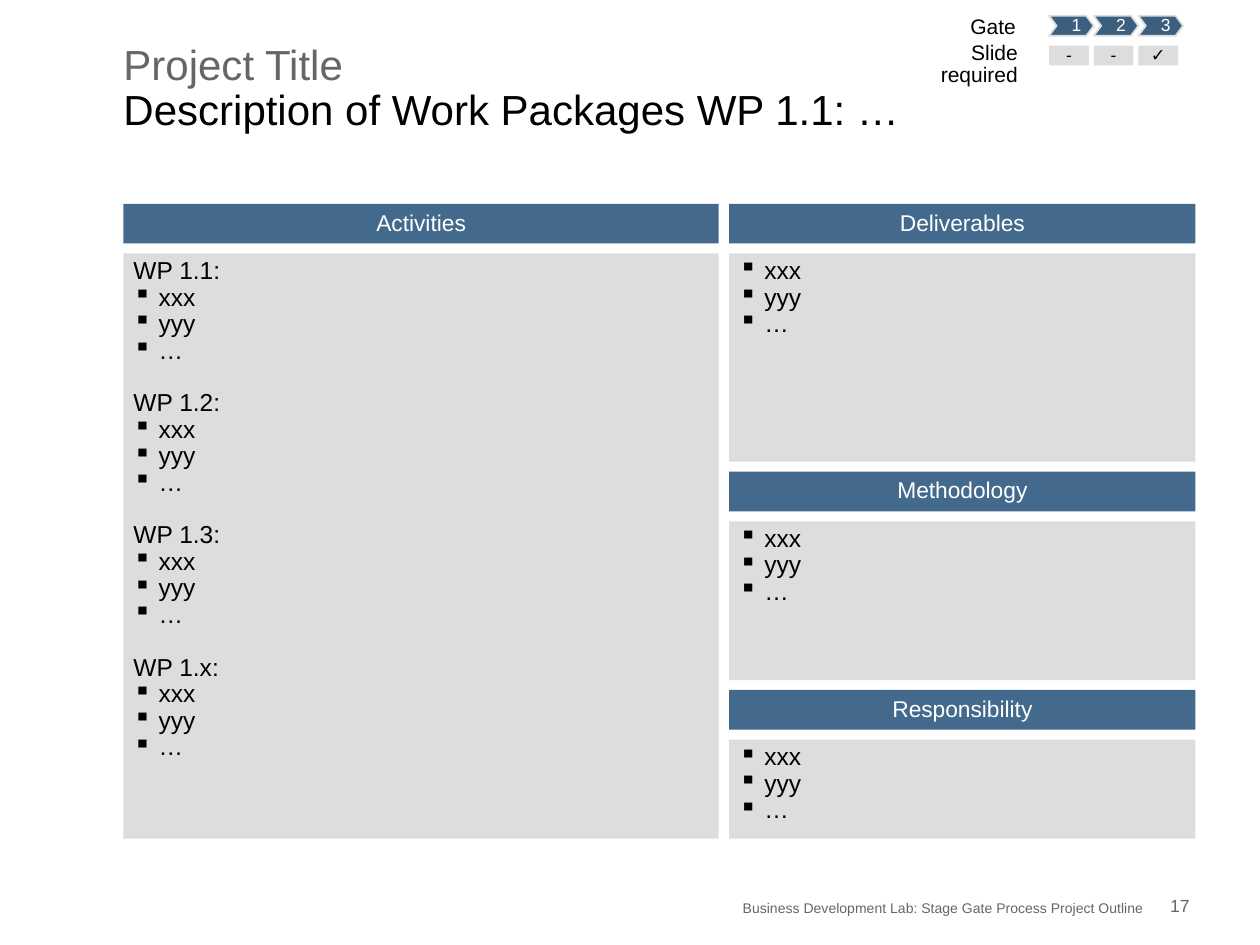
from dataclasses import dataclass

from lxml import etree
from pptx import Presentation
from pptx.dml.color import RGBColor
from pptx.enum.shapes import MSO_SHAPE
from pptx.enum.text import MSO_ANCHOR, PP_ALIGN
from pptx.oxml.ns import qn
from pptx.util import Cm, Pt

RECTANGLE = MSO_SHAPE.RECTANGLE
TOP, MIDDLE, BOTTOM = MSO_ANCHOR.TOP, MSO_ANCHOR.MIDDLE, MSO_ANCHOR.BOTTOM
LEFT, CENTER, RIGHT = PP_ALIGN.LEFT, PP_ALIGN.CENTER, PP_ALIGN.RIGHT


@dataclass(frozen=True)
class Theme:
    font: str = "Arial"
    header: str = "436A8D"
    gate: str = "3C5F7F"
    panel: str = "DDDDDD"
    ink: str = "000000"
    muted: str = "666666"
    light: str = "FFFFFF"
    title_size: int = 24
    body_size: int = 14
    header_size: int = 13
    label_size: int = 12
    small_size: int = 10
    footer_size: int = 8
    spacing: float = 0.9
    group_gap: int = 15
    indent: float = 0.51


THEME = Theme()


def add_text(para, text, *, size, color=THEME.ink, align=LEFT,
             spacing=THEME.spacing, before=0, bullet=False):
    if bullet:
        properties = para._p.get_or_add_pPr()
        properties.set("marL", str(Cm(THEME.indent)))
        properties.set("indent", str(-Cm(THEME.indent)))
        marker = etree.SubElement(properties, qn("a:buChar"))
        marker.set("char", "▪")
    para.alignment = align
    para.line_spacing = spacing
    para.space_before = Pt(before)
    span = para.add_run()
    span.text = text
    span.font.name = THEME.font
    span.font.size = Pt(size)
    span.font.color.rgb = RGBColor.from_string(color)


class PageBuilder:
    def __init__(self, page, theme):
        self.page = page
        self.theme = theme

    def frame(self, box, anchor=TOP, margins=(0, 0, 0, 0), wrap=True):
        frame = box.text_frame
        frame.word_wrap = wrap
        frame.vertical_anchor = anchor
        (frame.margin_left, frame.margin_top,
         frame.margin_right, frame.margin_bottom) = [Cm(m) for m in margins]
        return frame

    def paint(self, box, fill, line=None):
        box.shadow.inherit = False
        box.fill.solid()
        box.fill.fore_color.rgb = RGBColor.from_string(fill)
        if line:
            box.line.color.rgb = RGBColor.from_string(line)
            box.line.width = Pt(1)
        else:
            box.line.fill.background()

    def rectangle(self, left, top, width, height, fill):
        box = self.page.shapes.add_shape(
            RECTANGLE, Cm(left), Cm(top), Cm(width), Cm(height))
        self.paint(box, fill)
        return box

    def label(self, text, left, top, width, height, anchor=TOP, wrap=True, **style):
        box = self.page.shapes.add_textbox(Cm(left), Cm(top), Cm(width), Cm(height))
        frame = self.frame(box, anchor, wrap=wrap)
        add_text(frame.paragraphs[0], text, **style)
        return frame.paragraphs[0]

    def title(self, project, heading):
        size = self.theme.title_size
        para = self.label(project, 2.49, 0.89, 16.41, 2.69,
                          size=size, color=self.theme.muted)
        para.add_line_break()
        add_text(para, heading, size=size)

    def header(self, text, left, top, width, height):
        box = self.rectangle(left, top, width, height, self.theme.header)
        frame = self.frame(box, MIDDLE, (0.18,) * 4)
        add_text(frame.paragraphs[0], text, size=self.theme.header_size,
                 color=self.theme.light, align=CENTER)

    def panel(self, groups, left, top, width, height):
        box = self.rectangle(left, top, width, height, self.theme.panel)
        frame = self.frame(box, TOP, (0.2, 0.1, 0.1, 0.1))
        para = frame.paragraphs[0]
        size = self.theme.body_size
        for index, (heading, items) in enumerate(groups):
            if heading:
                if index:
                    para = frame.add_paragraph()
                add_text(para, heading, size=size,
                         before=self.theme.group_gap if index else 0)
            for item in items:
                if para.runs:
                    para = frame.add_paragraph()
                add_text(para, item, size=size, bullet=True)

    def gate(self, text, left, top, width, height, notch):
        right, middle, bottom = left + width, top + height / 2, top + height
        outline = [(right - notch, top), (right, middle), (right - notch, bottom),
                   (left, bottom), (left + notch, middle)]
        builder = self.page.shapes.build_freeform(Cm(left), Cm(top))
        builder.add_line_segments([(Cm(x), Cm(y)) for x, y in outline], close=True)
        box = builder.convert_to_shape()
        self.paint(box, self.theme.gate, self.theme.panel)
        frame = self.frame(box, MIDDLE, (0.2, 0, 0, 0))
        add_text(frame.paragraphs[0], text, size=self.theme.small_size,
                 color=self.theme.light, align=CENTER)

    def flag(self, text, left, top, width, height):
        box = self.rectangle(left, top, width, height, self.theme.panel)
        frame = self.frame(box, MIDDLE)
        add_text(frame.paragraphs[0], text, size=self.theme.small_size, align=CENTER)


def main():
    deck = Presentation()
    deck.slide_width, deck.slide_height = Cm(25.4), Cm(19.05)
    builder = PageBuilder(deck.slides.add_slide(deck.slide_layouts[6]), THEME)

    builder.title("Project Title", "Description of Work Packages WP 1.1: …")

    items = ["xxx", "yyy", "…"]
    packages = [(f"WP 1.{number}:", items) for number in ("1", "2", "3", "x")]
    plain = [(None, items)]
    columns = [
        (2.49, 12, [("Activities", packages, 11.8)]),
        (14.7, 9.4, [("Deliverables", plain, 4.2),
                     ("Methodology", plain, 3.2),
                     ("Responsibility", plain, 2)]),
    ]
    header_height, gap = 0.8, 0.2
    for left, width, sections in columns:
        top = 4.11
        for heading, groups, height in sections:
            builder.header(heading, left, top, width, header_height)
            top += header_height + gap
            builder.panel(groups, left, top, width, height)
            top += height + gap

    gate_left, gate_step = 21.15, 0.9
    for index, mark in enumerate(["-", "-", "✓"]):
        left = gate_left + index * gate_step
        builder.gate(str(index + 1), left, 0.32, gate_step, 0.4, 0.15)
        builder.flag(mark, left, 0.92, 0.8, 0.4)

    label_size = THEME.label_size
    builder.label("Gate", 19.56, 0.32, 0.92, 0.46, wrap=False,
                  size=label_size, align=CENTER)
    builder.label("Slide required", 17.91, 0.85, 2.61, 0.46, wrap=False,
                  size=label_size, align=RIGHT)

    footer = dict(anchor=BOTTOM, color=THEME.muted, align=RIGHT, spacing=1.0)
    builder.label("Business Development Lab: Stage Gate Process Project Outline",
                  4.24, 18.06, 18.82, 0.41, size=THEME.footer_size, **footer)
    builder.label("17", 23.06, 18.06, 0.92, 0.41, size=THEME.small_size, **footer)

    deck.save("out.pptx")


if __name__ == "__main__":
    main()
